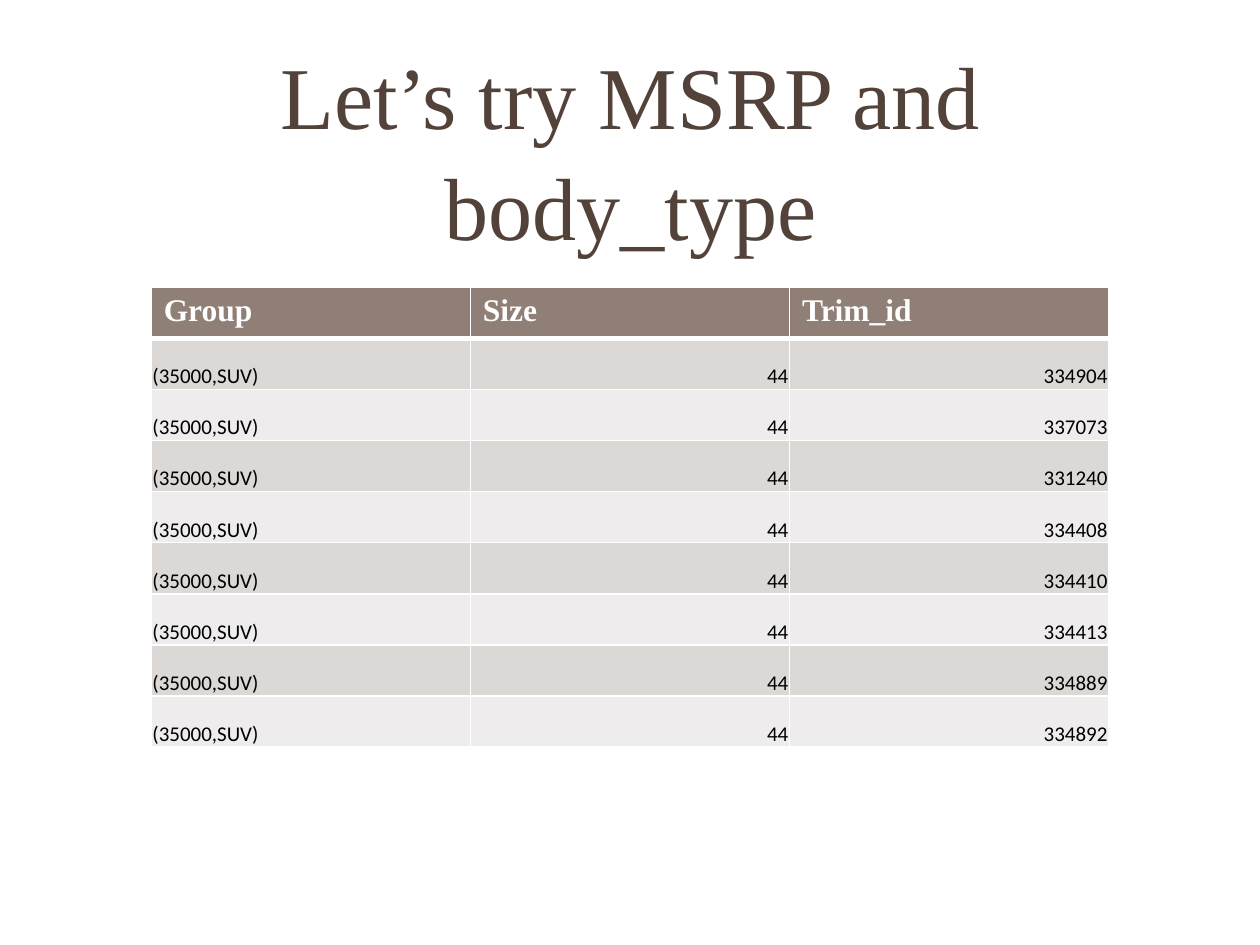
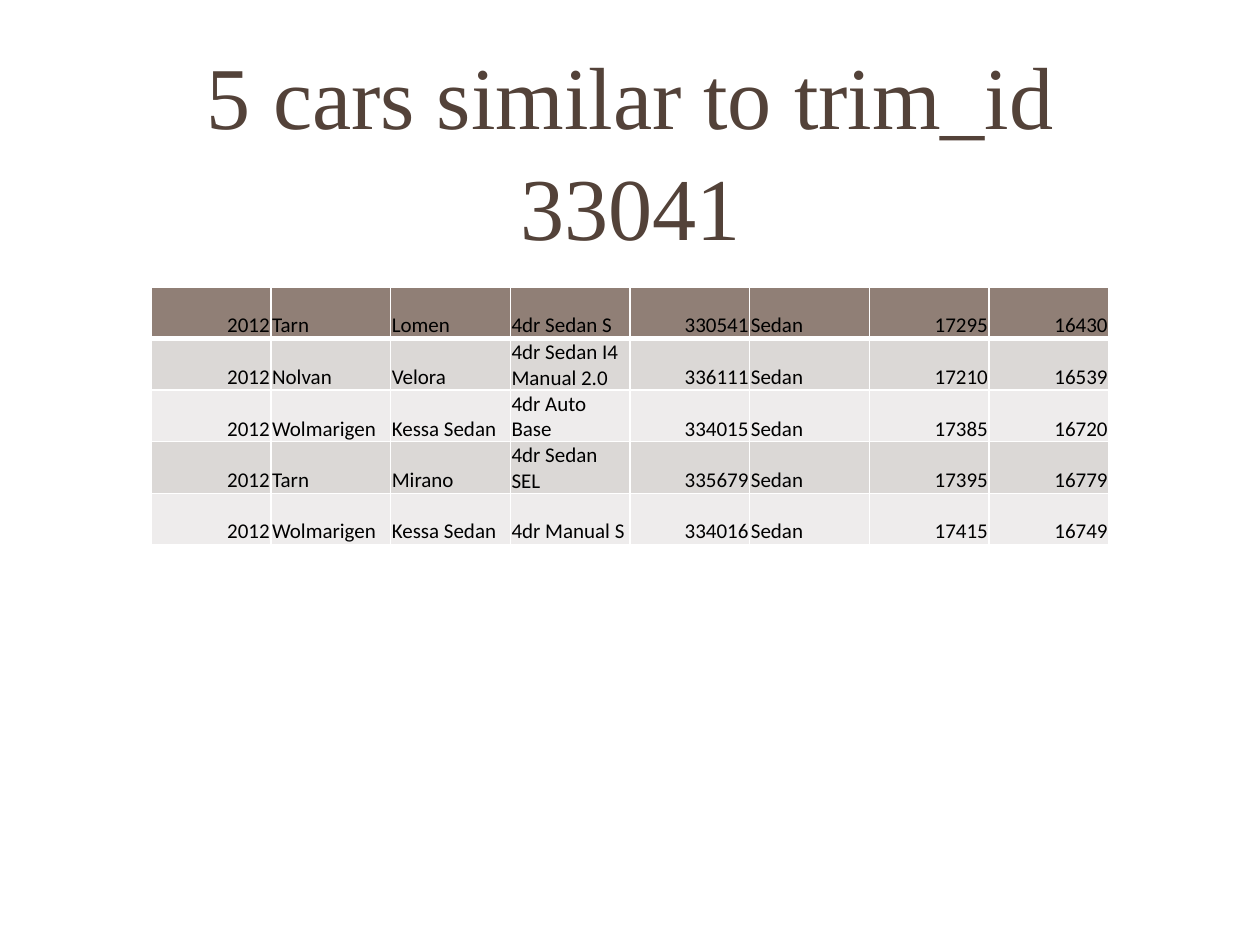
from lxml import etree
from pptx import Presentation
from pptx.dml.color import RGBColor
from pptx.enum.text import MSO_ANCHOR, PP_ALIGN
from pptx.oxml.ns import qn
from pptx.util import Inches, Pt

LEFT, RIGHT, CENTER = PP_ALIGN.LEFT, PP_ALIGN.RIGHT, PP_ALIGN.CENTER
TOP, MIDDLE, BOTTOM = MSO_ANCHOR.TOP, MSO_ANCHOR.MIDDLE, MSO_ANCHOR.BOTTOM

# Shared look
SERIF, SANS = "Times New Roman", "Calibri"
BROWN, HEAD, WHITE, BLACK = "534239", "907F76", "FFFFFF", "000000"
BANDS = ["DBD8D6", "EEECEC"]
WIDTH, ROW = 7.6, 3.65 / 9

# Table content
TRIMS = [334904, 337073, 331240, 334408, 334410, 334413, 334889, 334892]
GROUPS = [["Group", "Size", "Trim_id"]]
GROUPS += [["(35000,SUV)", "44", str(trim)] for trim in TRIMS]

CARS = [
    ["2012", "Tarn", "Lomen", "4dr Sedan S", "330541", "Sedan", "17295", "16430"],
    ["2012", "Nolvan", "Velora", "4dr Sedan I4 Manual 2.0", "336111", "Sedan", "17210", "16539"],
    ["2012", "Wolmarigen", "Kessa Sedan", "4dr Auto Base", "334015", "Sedan", "17385", "16720"],
    ["2012", "Tarn", "Mirano", "4dr Sedan SEL", "335679", "Sedan", "17395", "16779"],
    ["2012", "Wolmarigen", "Kessa Sedan", "4dr Manual S", "334016", "Sedan", "17415", "16749"],
]


def color(code):
    return RGBColor.from_string(code)


def style(para, name, size, code, align, bold=False):
    para.alignment = align
    font = para.font
    font.name, font.size, font.bold = name, Pt(size), bold
    font.color.rgb = color(code)


def add_title(slide, text):
    box = slide.shapes.add_textbox(Inches(0.88), Inches(0.42), Inches(8.25), Inches(1.5))
    frame = box.text_frame
    frame.word_wrap = True
    frame.vertical_anchor = MIDDLE
    para = frame.paragraphs[0]
    para.text = text
    para.line_spacing = 1.05
    style(para, SERIF, 50.4, BROWN, CENTER)


def add_edges(cell, row):
    """White rules, with a heavy one between the first row and the rest."""
    props = cell._tc.get_or_add_tcPr()
    sizes = {"lnL": 1, "lnR": 1, "lnT": 3 if row == 1 else 1, "lnB": 3 if row == 0 else 1}
    for tag, size in sizes.items():
        line = etree.SubElement(props, qn("a:" + tag), w=str(Pt(size)))
        fill = etree.SubElement(line, qn("a:solidFill"))
        etree.SubElement(fill, qn("a:srgbClr"), val=WHITE)


def fill_cell(cell, text, row, label):
    add_edges(cell, row)
    cell.fill.solid()
    cell.fill.fore_color.rgb = color(BANDS[(row - 1) % 2] if row else HEAD)
    cell.text = text
    para = cell.text_frame.paragraphs[0]
    if label:
        cell.vertical_anchor = TOP
        style(para, SERIF, 18, WHITE, LEFT, bold=True)
    else:
        cell.vertical_anchor = BOTTOM
        cell.margin_left = cell.margin_right = cell.margin_top = Inches(0.01)
        cell.margin_bottom = 0
        style(para, SANS, 12, BLACK, RIGHT if text.isdigit() else LEFT)


def add_grid(slide, data, labels):
    rows, cols = len(data), len(data[0])
    table = slide.shapes.add_table(rows, cols, Inches(1.2), Inches(2.28),
                                   Inches(WIDTH), Inches(ROW * rows)).table
    for col in table.columns:
        col.width = Inches(WIDTH / cols)
    for r, line in enumerate(data):
        table.rows[r].height = Inches(ROW)
        for c, text in enumerate(line):
            fill_cell(table.cell(r, c), text, r, labels and r == 0)


def add_page(deck, title, data, labels):
    slide = deck.slides.add_slide(deck.slide_layouts[6])
    add_title(slide, title)
    add_grid(slide, data, labels)


def main():
    deck = Presentation()
    deck.slide_width, deck.slide_height = Inches(10), Inches(7.5)
    add_page(deck, "Let’s try MSRP and body_type", GROUPS, labels=True)
    add_page(deck, "5 cars similar to trim_id 33041", CARS, labels=False)
    deck.save("out.pptx")


main()
